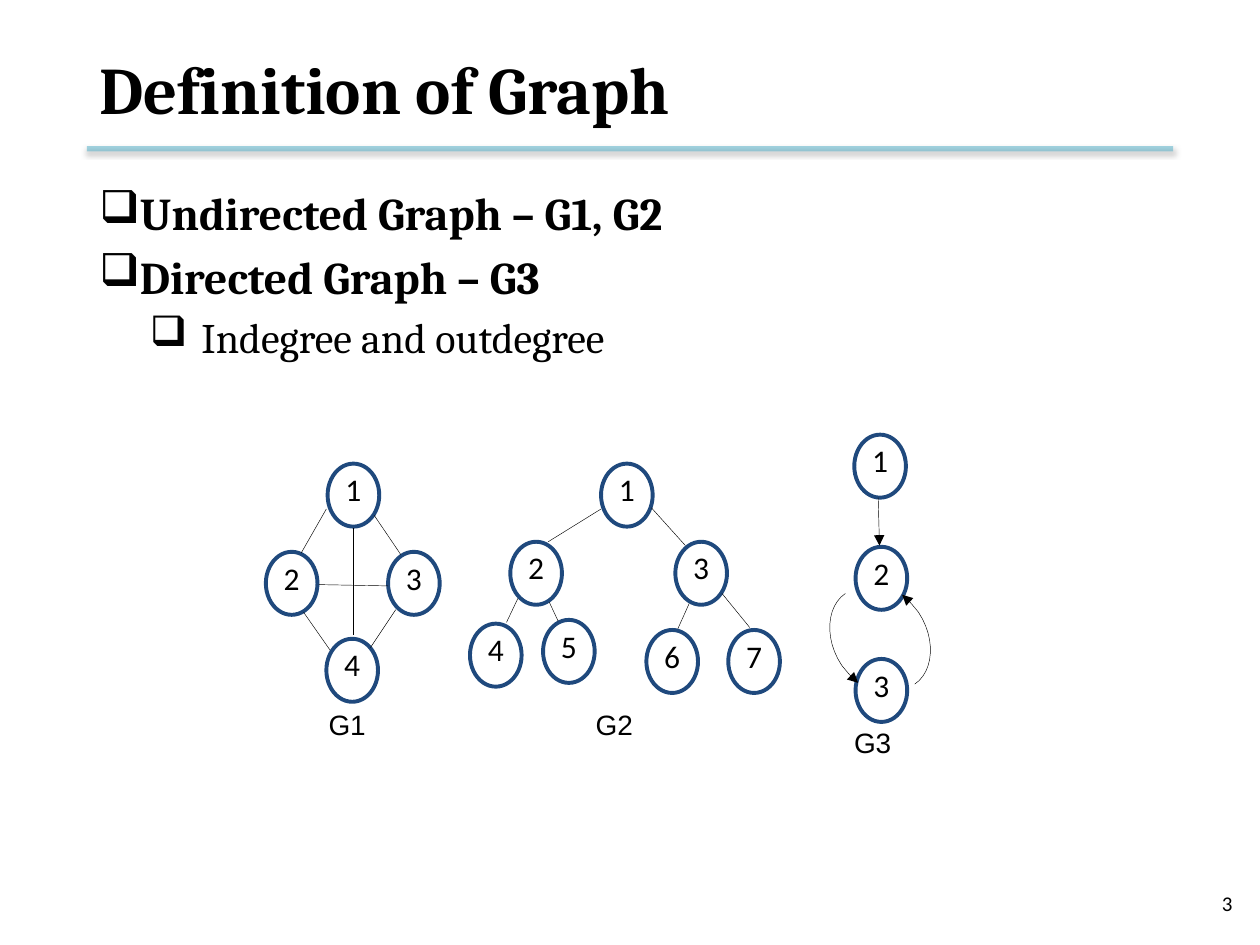
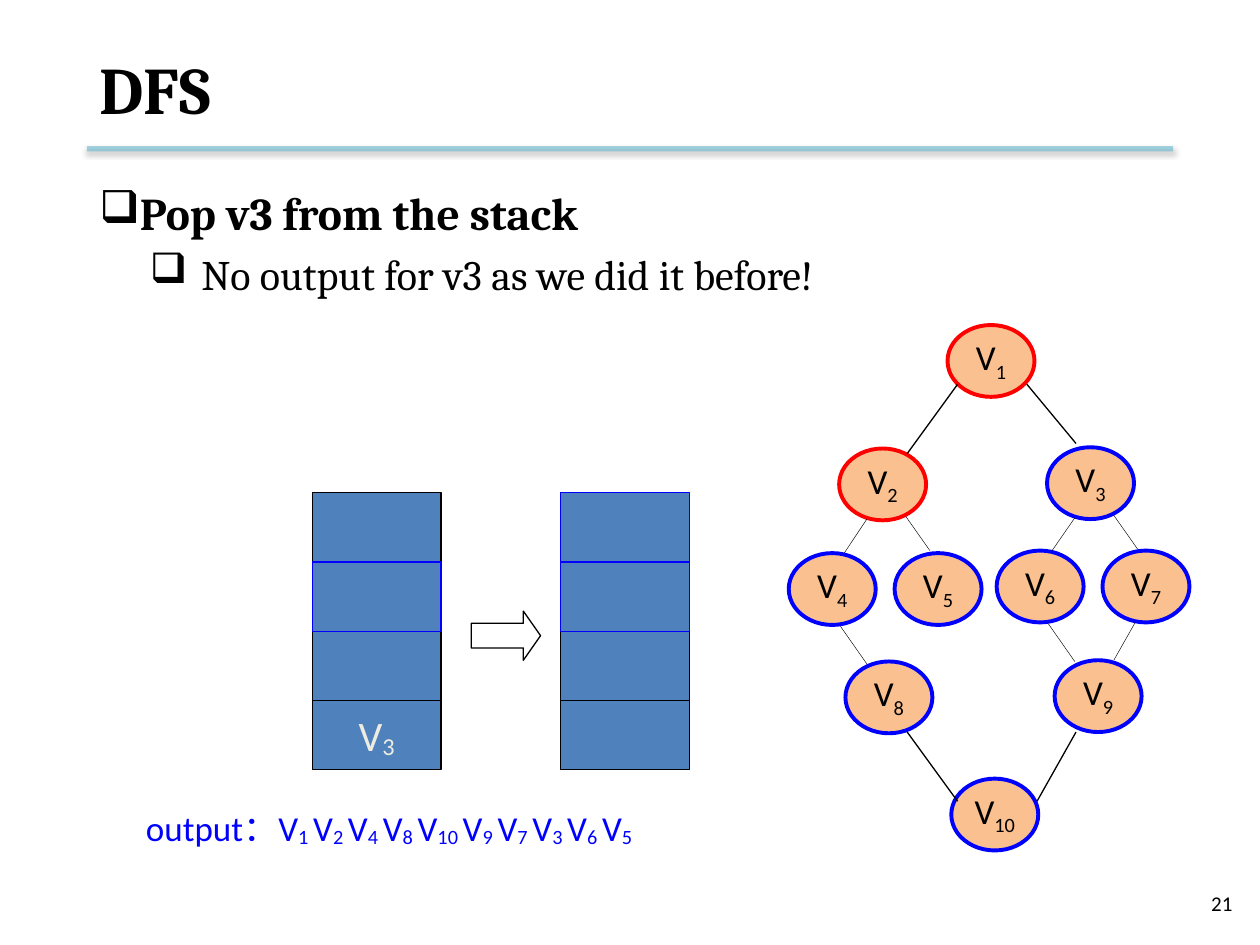
from dataclasses import dataclass
from typing import NamedTuple, Sequence

from lxml.etree import SubElement
from pptx import Presentation
from pptx.dml.color import RGBColor
from pptx.enum.shapes import MSO_CONNECTOR, MSO_SHAPE
from pptx.enum.text import MSO_ANCHOR, PP_ALIGN
from pptx.oxml.ns import qn
from pptx.util import Emu, Inches, Pt

COLUMNS, ROWS = 100, 75
SLIDE_WIDTH, SLIDE_HEIGHT = Inches(10), Inches(7.5)


@dataclass(frozen=True)
class Theme:
    black: str = "000000"
    blue: str = "0000FF"
    red: str = "FF0000"
    navy: str = "1F497D"
    rule: str = "4BACC6"
    peach: str = "FAC090"
    stack_fill: str = "4F81BD"
    stack_text: str = "EEECE1"
    heading_font: str = "Cambria"
    body_font: str = "Calibri"
    label_font: str = "Arial"
    title_size: float = 38
    bullet_sizes: tuple[float, float] = (26, 24)
    number_size: float = 12
    caption_size: float = 16
    digit_size: float = 18
    vertex_size: float = 20
    stack_size: float = 24
    hairline: float = 0.25
    thin: float = 0.75
    ring: float = 2.25
    rule_width: float = 3


THEME = Theme()


class Area(NamedTuple):
    column: float
    row: float
    width: float
    height: float


class Point(NamedTuple):
    column: float
    row: float


class Span(NamedTuple):
    text: str
    baseline: int = 0


class TextStyle(NamedTuple):
    font: str
    size: float
    color: str = THEME.black
    bold: bool = False
    align: PP_ALIGN = PP_ALIGN.LEFT


class Bullet(NamedTuple):
    text: str
    level: int = 0


class Vertex(NamedTuple):
    label: str
    column: float
    row: float
    ring: str = THEME.blue


class Edge(NamedTuple):
    start: Point
    end: Point
    width: float = THEME.hairline


class Stack(NamedTuple):
    column: float
    outlines: tuple[str, str, str, str]
    bottom: str = ""


TITLE = TextStyle(THEME.heading_font, THEME.title_size, bold=True)
NUMBER = TextStyle(THEME.body_font, THEME.number_size, align=PP_ALIGN.RIGHT)
CAPTION = TextStyle(THEME.label_font, THEME.caption_size)
DIGIT = TextStyle(THEME.body_font, THEME.digit_size, align=PP_ALIGN.CENTER)
VERTEX = TextStyle(THEME.body_font, THEME.vertex_size, align=PP_ALIGN.CENTER)
STACK = TextStyle(THEME.body_font, THEME.stack_size, THEME.stack_text, align=PP_ALIGN.CENTER)
OUTPUT = TextStyle(THEME.body_font, THEME.vertex_size, THEME.blue)


def across(columns: float) -> Emu:
    return Emu(round(SLIDE_WIDTH * columns / COLUMNS))


def down(rows: float) -> Emu:
    return Emu(round(SLIDE_HEIGHT * rows / ROWS))


def place(area: Area) -> tuple[Emu, Emu, Emu, Emu]:
    return across(area.column), down(area.row), across(area.width), down(area.height)


def write_spans(paragraph, spans: Sequence[Span], style: TextStyle) -> None:
    paragraph.alignment = style.align
    for span in spans:
        run = paragraph.add_run()
        run.text = span.text
        font = run.font
        font.name, font.size, font.bold = style.font, Pt(style.size), style.bold
        font.color.rgb = RGBColor.from_string(style.color)
        if span.baseline:
            font._element.set("baseline", str(span.baseline * 1000))


def add_text(page, area: Area, spans: Sequence[Span], style: TextStyle,
             anchor=MSO_ANCHOR.MIDDLE, wrap: bool = True) -> None:
    frame = page.shapes.add_textbox(*place(area)).text_frame
    frame.word_wrap, frame.vertical_anchor = wrap, anchor
    write_spans(frame.paragraphs[0], spans, style)


def add_bullets(page, bullets: Sequence[Bullet]) -> None:
    box = page.shapes.add_textbox(*place(Area(6.9, 14.2, 86.2, 51 if len(bullets) > 2 else 13.8)))
    frame = box.text_frame
    frame.word_wrap = True
    for index, bullet in enumerate(bullets):
        paragraph = frame.add_paragraph() if index else frame.paragraphs[0]
        paragraph.level = bullet.level
        size = THEME.bullet_sizes[bullet.level]
        if index:
            paragraph.space_before = Pt(size * 0.2)
        margin, indent = ((0.25, -0.45), (0.81, -0.41))[bullet.level]
        properties = paragraph._p.get_or_add_pPr()
        properties.set("marL", str(Inches(margin)))
        properties.set("indent", str(Inches(indent)))
        SubElement(properties, qn("a:buChar")).set("char", "❑")
        style = TextStyle(THEME.heading_font, size, bold=bullet.level == 0)
        write_spans(paragraph, [Span(bullet.text)], style)


def paint(shape, fill: str | None, color: str, width: float) -> None:
    shape.shadow.inherit = False
    if fill:
        shape.fill.solid()
        shape.fill.fore_color.rgb = RGBColor.from_string(fill)
    else:
        shape.fill.background()
    shape.line.color.rgb = RGBColor.from_string(color)
    shape.line.width = Pt(width)


def add_arrowhead(shape) -> None:
    outline = shape._element.spPr.find(qn("a:ln"))
    SubElement(outline, qn("a:tailEnd")).set("type", "triangle")


def add_line(page, edge: Edge, color: str = THEME.black):
    line = page.shapes.add_connector(
        MSO_CONNECTOR.STRAIGHT, across(edge.start.column), down(edge.start.row),
        across(edge.end.column), down(edge.end.row))
    line.line.color.rgb = RGBColor.from_string(color)
    line.line.width = Pt(edge.width)
    SubElement(line._element.spPr, qn("a:effectLst"))
    return line


def add_edges(page, ends: Sequence[tuple[float, float, float, float]],
              width: float = THEME.hairline) -> None:
    for x1, y1, x2, y2 in ends:
        add_line(page, Edge(Point(x1, y1), Point(x2, y2), width))


def add_rule(page) -> None:
    """Draw the half-transparent title rule with its soft shadow."""
    rule = add_line(page, Edge(Point(6.9, 11.8), Point(93.1, 11.8), THEME.rule_width), THEME.rule)
    properties = rule._element.spPr
    color = properties.find(f"{qn('a:ln')}/{qn('a:solidFill')}/{qn('a:srgbClr')}")
    SubElement(color, qn("a:alpha")).set("val", "50000")
    shadow = SubElement(properties.find(qn("a:effectLst")), qn("a:outerShdw"),
                        blurRad=str(Pt(3.1)), dist=str(Pt(1.6)), dir="5400000", rotWithShape="0")
    shade = SubElement(shadow, qn("a:srgbClr"), val=THEME.black)
    SubElement(shade, qn("a:alpha")).set("val", "38000")


def add_page(deck, title: str, number: int, bullets: Sequence[Bullet]):
    page = deck.slides.add_slide(deck.slide_layouts[6])
    add_rule(page)
    add_text(page, Area(75.5, 69.7, 23.3, 4), [Span(str(number))], NUMBER)
    add_text(page, Area(6.9, 1.7, 86.2, 10.6), [Span(title)], TITLE)
    add_bullets(page, bullets)
    return page


def add_vertex(page, vertex: Vertex, width: float, height: float,
               style: TextStyle, fill: str | None = None) -> None:
    """Draw a ringed vertex; all but the first letter of its label is a subscript."""
    area = Area(vertex.column, vertex.row, width, height)
    shape = page.shapes.add_shape(MSO_SHAPE.OVAL, *place(area))
    paint(shape, fill, vertex.ring, THEME.ring)
    frame = shape.text_frame
    frame.margin_left = frame.margin_right = frame.margin_top = frame.margin_bottom = 0
    frame.vertical_anchor = MSO_ANCHOR.TOP
    paragraph = frame.paragraphs[0]
    paragraph.line_spacing = 0.96
    spans = [Span(vertex.label[0])]
    if vertex.label[1:]:
        spans.append(Span(vertex.label[1:], -25))
    write_spans(paragraph, spans, style)


def add_curve(page, curves: Sequence[Sequence[Point]], steps: int = 12) -> None:
    """Trace joined cubic Bezier curves as one open outline with an arrowhead."""
    trace = [curves[0][0]]
    for controls in curves:
        for step in range(1, steps + 1):
            t = step / steps
            weights = ((1 - t) ** 3, 3 * t * (1 - t) ** 2, 3 * t * t * (1 - t), t ** 3)
            trace.append(Point(sum(w * p.column for w, p in zip(weights, controls)),
                               sum(w * p.row for w, p in zip(weights, controls))))
    spots = [(across(point.column), down(point.row)) for point in trace]
    builder = page.shapes.build_freeform(*spots[0])
    builder.add_line_segments(spots[1:], close=False)
    outline = builder.convert_to_shape()
    paint(outline, None, THEME.black, THEME.hairline)
    add_arrowhead(outline)


def add_stack(page, stack: Stack) -> None:
    top, cell_height = 39.1, 5.5
    for row in (3, 2, 0, 1):
        area = Area(stack.column, top + row * cell_height, 10.2, cell_height)
        cell = page.shapes.add_shape(MSO_SHAPE.RECTANGLE, *place(area))
        paint(cell, THEME.stack_fill, stack.outlines[row], THEME.thin)
        if row == 3 and stack.bottom:
            frame = cell.text_frame
            frame.word_wrap, frame.vertical_anchor = False, MSO_ANCHOR.MIDDLE
            spans = [Span(stack.bottom[0]), Span(stack.bottom[1:], -10)]
            write_spans(frame.paragraphs[0], spans, STACK)


def build_definition(deck) -> None:
    page = add_page(deck, "Definition of Graph", 3, [
        Bullet("Undirected Graph – G1, G2"), Bullet("Directed Graph – G3"),
        Bullet("Indegree and outdegree", 1)])
    graphs = {
        "G1": [(26, 36.8), (21.1, 43.8), (30.8, 43.8), (25.9, 50.7)],
        "G2": [(47.7, 36.8), (40.5, 43), (53.6, 43), (37.3, 49.5),
               (43.1, 49.2), (51.3, 50), (57.8, 50)],
        "G3": [(67.8, 34.5), (67.9, 43.4), (67.9, 52.3)],
    }
    captions = {"G1": (25.1, 55.6), "G2": (46.3, 55.6), "G3": (66.8, 57.1)}
    for name, spots in graphs.items():
        for number, spot in enumerate(spots, start=1):
            add_vertex(page, Vertex(str(number), *spot, THEME.navy), 4.1, 5, DIGIT)
        add_text(page, Area(*captions[name], 5.6, 3.7), [Span(name)], CAPTION, wrap=False)
    add_edges(page, [
        (29.7, 40.9, 31.8, 44), (29.4, 51.4, 31.4, 48.4), (24.1, 48.6, 26.2, 51.6),
        (23.9, 43.9, 25.9, 40.4), (25.3, 46.4, 30.8, 46.5), (28, 41.9, 28, 50.4),
        (43.5, 43, 47.7, 40.4), (51.7, 40.3, 54.4, 43.3), (43.6, 47.8, 44.3, 49.3),
        (41.1, 47.5, 40.2, 49.4), (57.3, 47.1, 59.5, 49.8), (54.7, 47.9, 53.8, 49.9)])
    add_arrowhead(add_line(page, Edge(Point(69.7, 39.5), Point(69.8, 43.3))))
    left = [[Point(67.1, 47.1), Point(65.6, 48.1), Point(65.4, 50.7), Point(66.8, 52.8)],
            [Point(66.8, 52.8), Point(67.2, 53.3), Point(67.6, 53.8), Point(68.1, 54.2)]]
    center = Point(69.85, 50.7)
    right = [[Point(2 * center.column - point.column, 2 * center.row - point.row)
              for point in controls] for controls in left]
    for curve in (left, right):
        add_curve(page, curve)


def build_search(deck) -> None:
    page = add_page(deck, "DFS", 21, [
        Bullet("Pop v3 from the stack"), Bullet("No output for v3 as we did it before!", 1)])
    for vertex in (
            Vertex("V1", 75.2, 25.8, THEME.red), Vertex("V2", 66.6, 35.6, THEME.red),
            Vertex("V3", 83.1, 35.5), Vertex("V4", 62.6, 43.9), Vertex("V5", 71, 43.9),
            Vertex("V6", 79.1, 43.7), Vertex("V7", 87.5, 43.7), Vertex("V8", 67.1, 52.5),
            Vertex("V9", 83.7, 52.4), Vertex("V10", 75.5, 61.8)):
        add_vertex(page, vertex, 6.9, 5.7, VERTEX, THEME.peach)
    add_edges(page, [
        (68.8, 41.2, 67, 43.9), (71.9, 41, 73.8, 43.7), (66.7, 49.7, 68.8, 52.7),
        (85.3, 41.1, 83.5, 43.7), (88.4, 40.9, 90.3, 43.6), (83.2, 49.5, 85.3, 52.5),
        (90.1, 49.4, 88.4, 52.4)])
    add_edges(page, [(76, 30.5, 72, 36), (72, 58.1, 76, 63.6),
                     (81.5, 30.5, 85.4, 35.2), (85.4, 58.1, 82.3, 63.6)], THEME.thin)
    black, blue = THEME.black, THEME.blue
    add_stack(page, Stack(24.8, (black, blue, black, black), "V3"))
    add_stack(page, Stack(44.5, (blue, blue, black, black)))
    arrow = page.shapes.add_shape(MSO_SHAPE.RIGHT_ARROW, *place(Area(37.4, 48.5, 5.5, 3.9)))
    arrow.adjustments[0], arrow.adjustments[1] = 0.5, 0.35
    paint(arrow, None, THEME.black, THEME.thin)
    visited = (1, 2, 4, 8, 10, 9, 7, 3, 6, 5)
    spans = [Span("output：")]
    for number in visited:
        gap = "" if number == visited[-1] else " "
        spans += [Span("V"), Span(f"{number}{gap}", -10)]
    add_text(page, Area(10.6, 63.5, 53.5, 4.4), spans, OUTPUT, MSO_ANCHOR.TOP)


def main() -> None:
    deck = Presentation()
    deck.slide_width, deck.slide_height = SLIDE_WIDTH, SLIDE_HEIGHT
    build_definition(deck)
    build_search(deck)
    deck.save("out.pptx")


if __name__ == "__main__":
    main()
